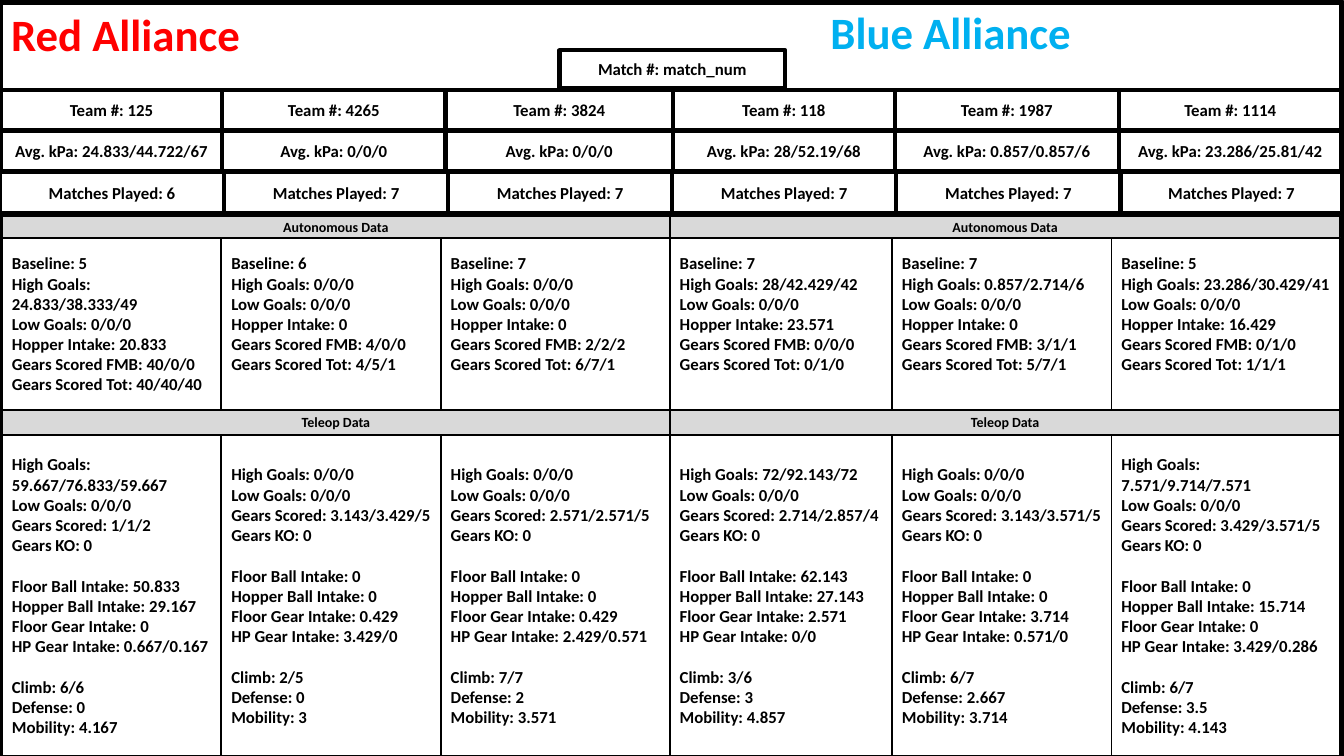
from itertools import pairwise
from lxml import etree
from pptx import Presentation
from pptx.dml.color import RGBColor
from pptx.enum.shapes import MSO_CONNECTOR, MSO_SHAPE
from pptx.enum.text import MSO_ANCHOR, PP_ALIGN
from pptx.oxml.ns import qn
from pptx.util import Cm, Pt

# Content: one column per team
TITLES = [("Red Alliance", "red", 0.03, 0.05), ("Blue Alliance", "blue", 20.68, 0)]
MATCH = "Match #: match_num"
HEAD = {
    "Team #": ["125", "4265", "3824", "118", "1987", "1114"],
    "Avg. kPa": ["24.833/44.722/67", "0/0/0", "0/0/0",
                 "28/52.19/68", "0.857/0.857/6", "23.286/25.81/42"],
    "Matches Played": ["6", "7", "7", "7", "7", "7"],
}
AUTO = {
    "Baseline": ["5", "6", "7", "7", "7", "5"],
    "High Goals": ["24.833/38.333/49", "0/0/0", "0/0/0",
                   "28/42.429/42", "0.857/2.714/6", "23.286/30.429/41"],
    "Low Goals": ["0/0/0"] * 6,
    "Hopper Intake": ["20.833", "0", "0", "23.571", "0", "16.429"],
    "Gears Scored FMB": ["40/0/0", "4/0/0", "2/2/2", "0/0/0", "3/1/1", "0/1/0"],
    "Gears Scored Tot": ["40/40/40", "4/5/1", "6/7/1", "0/1/0", "5/7/1", "1/1/1"],
}
TELEOP = {
    "High Goals": ["59.667/76.833/59.667", "0/0/0", "0/0/0",
                   "72/92.143/72", "0/0/0", "7.571/9.714/7.571"],
    "Low Goals": ["0/0/0"] * 6,
    "Gears Scored": ["1/1/2", "3.143/3.429/5", "2.571/2.571/5",
                     "2.714/2.857/4", "3.143/3.571/5", "3.429/3.571/5"],
    "Gears KO": ["0"] * 6,
    "Floor Ball Intake": ["50.833", "0", "0", "62.143", "0", "0"],
    "Hopper Ball Intake": ["29.167", "0", "0", "27.143", "0", "15.714"],
    "Floor Gear Intake": ["0", "0.429", "0.429", "2.571", "3.714", "0"],
    "HP Gear Intake": ["0.667/0.167", "3.429/0", "2.429/0.571",
                       "0/0", "0.571/0", "3.429/0.286"],
    "Climb": ["6/6", "2/5", "7/7", "3/6", "6/7", "6/7"],
    "Defense": ["0", "0", "2", "3", "2.667", "3.5"],
    "Mobility": ["4.167", "3", "3.571", "4.857", "3.714", "4.143"],
}
GROUP_STARTS = ("Floor Ball Intake", "Climb")

# Style and layout (cm)
COLORS = {"black": "000000", "white": "FFFFFF", "grey": "D9D9D9",
          "red": "FF0000", "blue": "00B0F0"}
FONT = "Calibri"
THICK, THIN = 3, 1.25
LINE_GAP = 14.65  # one 12 pt line
HEAD_EDGES = [0.02, 5.6, 11.23, 16.96, 22.55, 28.2, 33.81]
PLAYED_EDGES = [0, 5.65, 11.3, 16.94, 22.59, 28.24, 33.83]
DATA_EDGES = [0.05, 5.58, 11.11, 16.88, 22.48, 28.01, 33.78]
HEAD_TOP, HEAD_PITCH, HEAD_H = 2.26, 1.04, 1.02
# title, data, bar top, bar height, cell top, cell height, bottom inset
SECTIONS = [("Autonomous Data", AUTO, 5.44, 0.55, 5.99, 4.34, 0.64),
            ("Teleop Data", TELEOP, 10.33, 0.63, 10.97, 8.08, 0.13)]

prs = Presentation()
prs.slide_width, prs.slide_height = Cm(33.87), Cm(19.05)
s = prs.slides.add_slide(prs.slide_layouts[6])


def color(name):
    return RGBColor.from_string(COLORS[name])


def write(tf, lines, size=12, ink="black", align=PP_ALIGN.LEFT):
    tf.word_wrap = True
    for i, line in enumerate(lines):
        p = tf.paragraphs[0] if i == 0 else tf.add_paragraph()
        p.alignment = align
        if line.startswith(GROUP_STARTS):
            p.space_before = Pt(LINE_GAP)
        r = p.add_run()
        r.text = line
        r.font.color.rgb = color(ink)
        for key, value in {"name": FONT, "size": Pt(size), "bold": True}.items():
            setattr(r.font, key, value)


def box(x, y, w, h, lines=(), weight=THICK, fill="white", bottom=0.13, **text):
    sp = s.shapes.add_shape(MSO_SHAPE.RECTANGLE, Cm(x), Cm(y), Cm(w), Cm(h))
    sp.shadow.inherit = False
    sp.fill.solid()
    sp.fill.fore_color.rgb = color(fill)
    sp.line.color.rgb = color("black")
    sp.line.width = Pt(weight)
    tf = sp.text_frame
    tf.vertical_anchor = MSO_ANCHOR.MIDDLE
    tf.margin_bottom = Cm(bottom)
    write(tf, lines, **text)


# Frame, title band and centre divider
box(0, 0.03, 33.81, 19.02)
box(0.03, 0.08, 33.78, 2.18)
for title, ink, x, y in TITLES:
    tb = s.shapes.add_textbox(Cm(x), Cm(y), Cm(10), Cm(2.2))
    write(tb.text_frame, [title], size=32, ink=ink)
divider = s.shapes.add_connector(MSO_CONNECTOR.STRAIGHT, Cm(16.9), Cm(2.26), Cm(16.9), Cm(19.05))
divider.line.color.rgb = color("black")
divider.line.width = Pt(THICK)
etree.SubElement(divider._element.spPr, qn("a:effectLst"))

# Team header rows
for row, (label, values) in enumerate(HEAD.items()):
    edges = PLAYED_EDGES if label == "Matches Played" else HEAD_EDGES
    for (left, right), value in zip(pairwise(edges), values):
        box(left, HEAD_TOP + row * HEAD_PITCH, right - left, HEAD_H,
            [f"{label}: {value}"], align=PP_ALIGN.CENTER)
box(14.1, 1.27, 5.69, 0.94, [MATCH], align=PP_ALIGN.CENTER)

# Data sections: a bar per alliance, then a cell per team
for title, data, bar_y, bar_h, y, h, bottom in SECTIONS:
    for left, right in pairwise(DATA_EDGES[::3]):
        box(left, bar_y, right - left, bar_h, [title], THIN, "grey",
            size=10, align=PP_ALIGN.CENTER)
    for team, (left, right) in enumerate(pairwise(DATA_EDGES)):
        lines = [f"{label}: {values[team]}" for label, values in data.items()]
        inset = 0.13 if team == 0 else bottom
        box(left, y, right - left, h, lines, THIN, bottom=inset)

prs.save("out.pptx")
